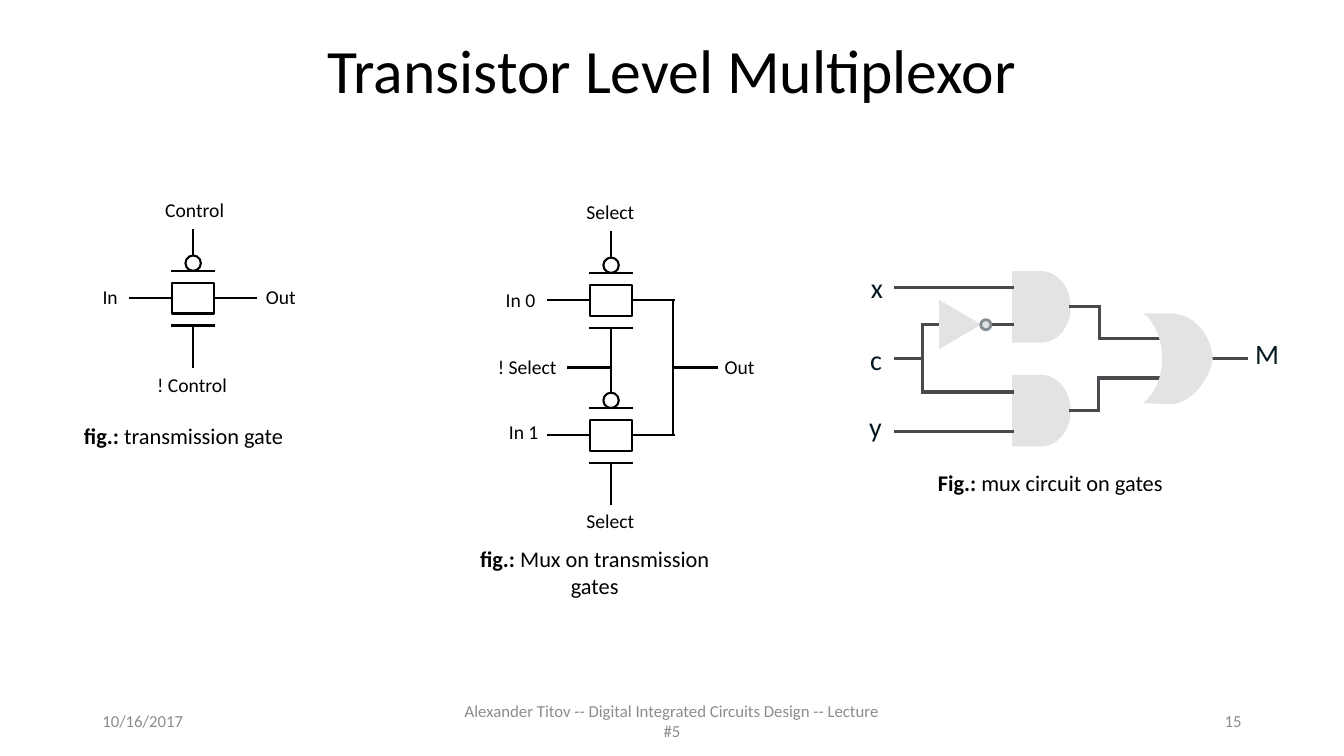
from dataclasses import dataclass
from lxml import etree
from pptx import Presentation
from pptx.dml.color import RGBColor
from pptx.enum.shapes import MSO_CONNECTOR, MSO_SHAPE
from pptx.enum.text import MSO_ANCHOR, MSO_AUTO_SIZE, PP_ALIGN
from pptx.oxml.ns import qn
from pptx.util import Pt

STRAIGHT = MSO_CONNECTOR.STRAIGHT
RECTANGLE, OVAL = MSO_SHAPE.RECTANGLE, MSO_SHAPE.OVAL
TRIANGLE, AND_GATE = MSO_SHAPE.ISOSCELES_TRIANGLE, MSO_SHAPE.FLOWCHART_DELAY
LEFT, CENTER, RIGHT = PP_ALIGN.LEFT, PP_ALIGN.CENTER, PP_ALIGN.RIGHT
TOP, MIDDLE = MSO_ANCHOR.TOP, MSO_ANCHOR.MIDDLE
NO_AUTOFIT = MSO_AUTO_SIZE.NONE
LEFT_SITE, RIGHT_SITE = 1, 3


@dataclass(frozen=True)
class Theme:
    font: str = "Calibri"
    ink: str = "000000"
    paper: str = "FFFFFF"
    muted: str = "8C8C8C"
    signal: str = "061922"
    wire: str = "494A4D"
    gate: str = "E1E3E5"
    bubble: str = "838D92"
    title_size: float = 44
    signal_size: float = 20
    caption_size: float = 16
    label_size: float = 14
    footer_size: float = 12
    thin: float = 1.5
    medium: float = 2
    thick: float = 2.25


THEME = Theme()


def color(value):
    return RGBColor.from_string(value)


def write(paragraph, text, size, ink, bold=False):
    run = paragraph.add_run()
    run.text = text
    run.font.name = THEME.font
    run.font.size = Pt(size)
    run.font.bold = bold
    run.font.color.rgb = color(ink)


def add_title(slide, text):
    title = slide.shapes.title
    title.left, title.top, title.width, title.height = Pt(66), Pt(0), Pt(828), Pt(104.4)
    frame = title.text_frame
    frame.auto_size = NO_AUTOFIT
    frame.vertical_anchor = MIDDLE
    paragraph = frame.paragraphs[0]
    paragraph.alignment = CENTER
    paragraph.line_spacing = 0.9
    write(paragraph, text, THEME.title_size, THEME.ink)


def add_text(slide, box, runs, size, ink=THEME.ink, align=LEFT, anchor=TOP, wrap=False):
    shape = slide.shapes.add_textbox(*map(Pt, box))
    frame = shape.text_frame
    frame.word_wrap = wrap
    frame.auto_size = NO_AUTOFIT
    frame.vertical_anchor = anchor
    paragraph = frame.paragraphs[0]
    paragraph.alignment = align
    for text, bold in runs:
        write(paragraph, text, size, ink, bold)


def add_label(slide, left, top, width, text):
    add_text(slide, (left, top, width, 24.5), [(text, False)], THEME.label_size)


def add_signal(slide, left, top, width, text):
    add_text(slide, (left, top, width, 31.7), [(text, False)], THEME.signal_size,
             THEME.signal, CENTER, MIDDLE)


def add_caption(slide, box, lead, text):
    add_text(slide, box, [(lead, True), (text, False)], THEME.caption_size,
             align=CENTER, wrap=True)


def add_symbol(slide, kind, box, fill=None, outline=None, width=THEME.thin, rotation=0):
    shape = slide.shapes.add_shape(kind, *map(Pt, box))
    shape.rotation = rotation
    paint(shape, fill, outline, width)
    return shape


def paint(shape, fill, outline=None, width=THEME.thin):
    shape.shadow.inherit = False
    if fill:
        shape.fill.solid()
        shape.fill.fore_color.rgb = color(fill)
    else:
        shape.fill.background()
    if outline:
        shape.line.color.rgb = color(outline)
        shape.line.width = Pt(width)
    else:
        shape.line.fill.background()


def add_wire(slide, points, ink=THEME.ink, width=THEME.thin, source=None):
    for index, (start, end) in enumerate(zip(points, points[1:])):
        connector = slide.shapes.add_connector(STRAIGHT, *map(Pt, (*start, *end)))
        connector.line.color.rgb = color(ink)
        connector.line.width = Pt(width)
        properties = connector.element.spPr
        properties.find(qn("a:ln")).set("cap", "sq")
        etree.SubElement(properties, qn("a:effectLst"))
        if source and index == 0:
            connector.begin_connect(*source)


def add_transmission_gate(slide, x, y):
    half, plate, stem, lead, bubble = 15, 19.5, 49, 45, 11
    channel = add_symbol(slide, RECTANGLE, (x - half, y - 11, 2 * half, 22), outline=THEME.ink)
    for side, site in ((-1, LEFT_SITE), (1, RIGHT_SITE)):
        add_wire(slide, [(x + side * half, y), (x + side * lead, y)], source=(channel, site))
        level = y + side * plate
        add_wire(slide, [(x - half, level), (x + half, level)])
        add_wire(slide, [(x, level), (x, y + side * stem)])
    add_symbol(slide, OVAL, (x - bubble / 2, y - plate - bubble, bubble, bubble),
               THEME.paper, THEME.ink)


def bezier(start, first, second, end, steps=16):
    for step in range(1, steps + 1):
        t = step / steps
        u = 1 - t
        yield tuple(u**3 * a + 3 * u * u * t * b + 3 * u * t * t * c + t**3 * d
                    for a, b, c, d in zip(start, first, second, end))


def add_or_gate(slide, x, y):
    back, waist, nose, half = x, x + 14.4, x + 50.4, 32.4
    top, bottom = (x + 20, y - half), (x + 20, y + half)
    points = [
        (back, y - half),
        *bezier((back, y - half), (x + 5, y - 31), (waist, y - 18), (waist, y)),
        *bezier((waist, y), (waist, y + 17.5), (x + 5, y + 29.5), (back, y + 31.7)),
        bottom,
        *bezier(bottom, (x + 37, y + half), (x + 49.5, y + 11), (nose, y)),
        *bezier((nose, y), (nose, y - 11), (x + 41, y - half), top),
    ]
    builder = slide.shapes.build_freeform(Pt(top[0]), Pt(top[1]))
    builder.add_line_segments([(Pt(a), Pt(b)) for a, b in points])
    paint(builder.convert_to_shape(), THEME.gate)


def draw_transmission_gate(slide):
    add_transmission_gate(slide, 138, 213)
    add_label(slide, 110.9, 138.2, 57, "Control")
    add_label(slide, 105.1, 262.8, 65, "! Control")
    add_label(slide, 66.2, 200.2, 25, "In")
    add_label(slide, 182.9, 200.2, 36, "Out")
    add_caption(slide, (23.8, 298, 214.6, 26.6), "fig.:", " transmission gate")


def draw_transmission_mux(slide):
    x, first, second, bus, middle = 436.5, 214.5, 311, 480.5, 262.5
    for y in (first, second):
        add_transmission_gate(slide, x, y)
    add_wire(slide, [(405.5, middle), (x, middle)])
    add_wire(slide, [(bus, first), (bus, second)])
    add_wire(slide, [(bus, middle), (512, middle)])
    for y in (139, 360):
        add_label(slide, 411.8, y, 49, "Select")
    add_label(slide, 354.2, 202.3, 36, "In 0")
    add_label(slide, 356.4, 296.6, 36, "In 1")
    add_label(slide, 348.5, 249.8, 57, "! Select")
    add_label(slide, 510.5, 249.8, 36, "Out")
    add_caption(slide, (317.5, 386, 214.6, 46), "fig.:", " Mux on transmission gates")


def draw_gate_mux(slide):
    inputs, fork, gate_left, gate_right, middle = 640, 659, 723, 764.8, 256.3
    for top, bend, entry in ((193.7, 785.3, 242), (267.8, 784.7, 270)):
        gate = add_symbol(slide, AND_GATE, (gate_left, top, gate_right - gate_left, 51), THEME.gate)
        center = top + 25.5
        add_wire(slide, [(gate_right, center), (bend, center), (bend, entry), (829, entry)],
                 THEME.wire, THEME.thick, (gate, RIGHT_SITE))
    for points in (
        [(inputs, 205.2), (gate_left, 205.2)],
        [(inputs, 308.2), (gate_left, 308.2)],
        [(inputs, middle), (fork, middle)],
        [(670, 232), (fork, 232), (fork, 280), (gate_left, 280)],
        [(704, 232), (gate_left, 232)],
        [(865, middle), (890, middle)],
    ):
        add_wire(slide, points, THEME.wire, THEME.thick)
    add_symbol(slide, TRIANGLE, (668.2, 216.7, 35.3, 30.2), THEME.gate, rotation=90)
    add_symbol(slide, OVAL, (700.6, 228.4, 7.2, 7.2), THEME.gate, THEME.bubble, THEME.medium)
    add_or_gate(slide, 815.8, middle)
    add_signal(slide, 614.9, 189.4, 23, "x")
    add_signal(slide, 614.2, 240.5, 23, "c")
    add_signal(slide, 613.4, 288.7, 23.8, "y")
    add_signal(slide, 889.2, 236.2, 31.7, "M")
    add_caption(slide, (661.7, 331.9, 177.1, 26.6), "Fig.:", " mux circuit on gates")


def add_footers(slide):
    for left, width, text, align in (
        (66, 216, "10/16/2017", LEFT),
        (318, 324, "Alexander Titov -- Digital Integrated Circuits Design -- Lecture #5", CENTER),
        (678, 216, "15", RIGHT),
    ):
        add_text(slide, (left, 500.5, width, 28.75), [(text, False)], THEME.footer_size,
                 THEME.muted, align, MIDDLE, True)


def main():
    presentation = Presentation()
    presentation.slide_width, presentation.slide_height = Pt(960), Pt(540)
    slide = presentation.slides.add_slide(presentation.slide_layouts[5])
    add_title(slide, "Transistor Level Multiplexor")
    add_footers(slide)
    draw_transmission_gate(slide)
    draw_transmission_mux(slide)
    draw_gate_mux(slide)
    presentation.save("out.pptx")


if __name__ == "__main__":
    main()
